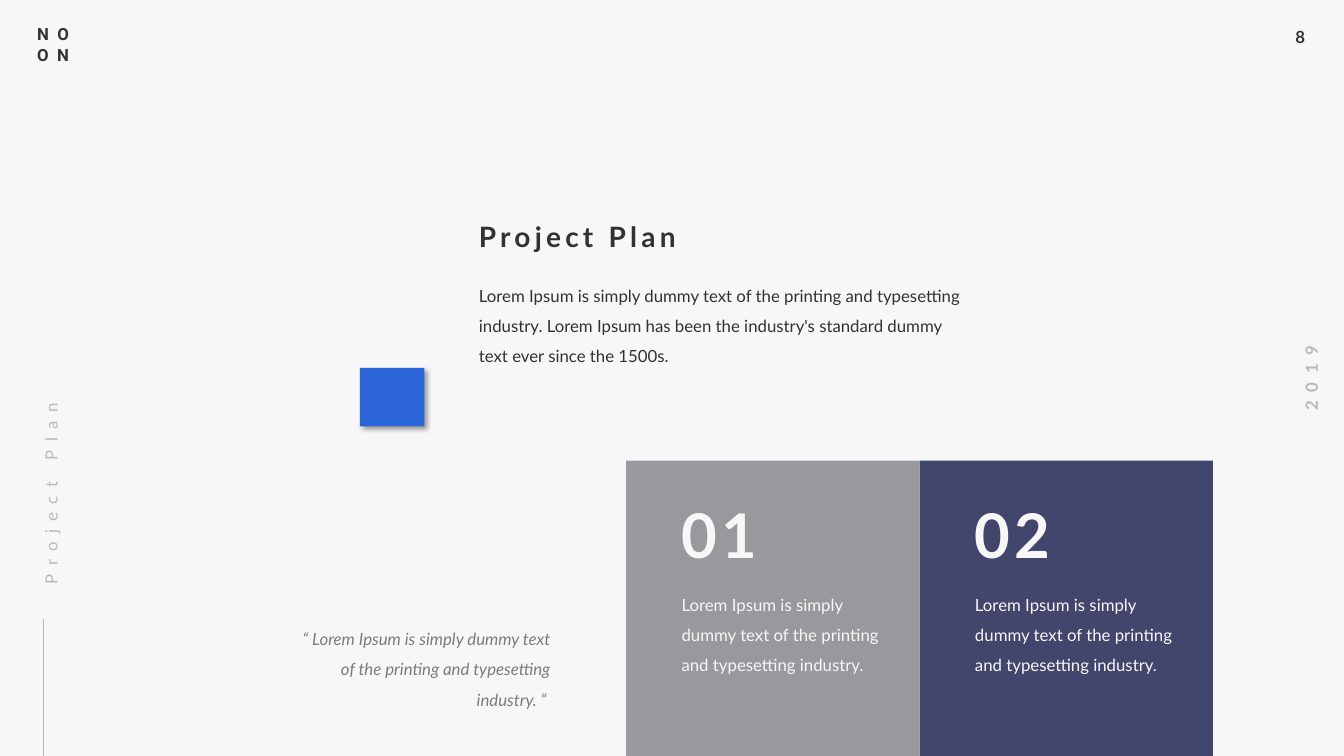
"""Build the Project Plan slide with two numbered cards."""
from lxml import etree
from pptx import Presentation
from pptx import util as u
from pptx.dml.color import RGBColor
from pptx.enum import shapes, text
from pptx.oxml import ns

COLORS = {
    "paper": "F7F7F7",
    "ink": "323232",
    "muted": "B9B9B9",
    "quote": "7C7C7C",
    "gray": "99999D",
    "navy": "42456C",
    "blue": "2C65D8",
    "shadow": "000000",
}
BODY = "Lorem Ipsum is simply dummy text of the printing and typesetting industry."
INTRO = BODY + " Lorem Ipsum has been the industry's standard dummy text ever since the 1500s."
FLUSH = (0, 0, 0.1, 0)
PADDED = (0.1, 0.05, 0.1, 0.05)
CARD_TOP, CARD_WIDTH, CARD_HEIGHT = 4.57, 2.91, 2.93


def rgb(name):
    """Return the named colour."""
    return RGBColor.from_string(COLORS[name])


def add_text(slide, box, content, color="ink", size=12, font="Lato", bold=False, italic=False,
             tracking=0, line_spacing=None, before=12, align=None, insets=FLUSH, wrap=True,
             rotation=0):
    """Add a text box whose paragraphs share one style."""
    shape = slide.shapes.add_textbox(*map(u.Inches, box))
    shape.rotation = rotation
    frame = shape.text_frame
    frame.text = content
    frame.word_wrap = wrap
    frame.auto_size = text.MSO_AUTO_SIZE.SHAPE_TO_FIT_TEXT
    frame.margin_left, frame.margin_top, frame.margin_right, frame.margin_bottom = map(
        u.Inches, insets)
    for paragraph in frame.paragraphs:
        paragraph.alignment = align
        paragraph.line_spacing = line_spacing
        paragraph.space_before = u.Pt(before)
        for run in paragraph.runs:
            run.font.name = font
            run.font.size = u.Pt(size)
            run.font.bold = bold
            run.font.italic = italic
            run.font.color.rgb = rgb(color)
            if tracking:
                run._r.get_or_add_rPr().set("spc", str(tracking * 100))


def add_block(slide, box, color):
    """Add a plain filled rectangle and return it."""
    shape = slide.shapes.add_shape(shapes.MSO_SHAPE.RECTANGLE, *map(u.Inches, box))
    shape.shadow.inherit = False
    shape.fill.solid()
    shape.fill.fore_color.rgb = rgb(color)
    shape.line.fill.background()
    return shape


def add_shadow(shape):
    """Give a shape a soft shadow to the lower right."""
    effects = shape._element.spPr.find(ns.qn("a:effectLst"))
    shadow = etree.SubElement(effects, ns.qn("a:outerShdw"), blurRad=str(u.Pt(4)),
                              dist=str(u.Pt(3)), dir=str(45 * 60000), algn="tl",
                              rotWithShape="0")
    color = etree.SubElement(shadow, ns.qn("a:srgbClr"), val=COLORS["shadow"])
    etree.SubElement(color, ns.qn("a:alpha"), val="40000")


def add_rule(slide, start, end):
    """Add a thin straight line."""
    rule = slide.shapes.add_connector(shapes.MSO_CONNECTOR.STRAIGHT,
                                      *map(u.Inches, start + end))
    rule.line.color.rgb = rgb("muted")
    rule.line.width = u.Pt(0.5)
    etree.SubElement(rule._element.spPr, ns.qn("a:effectLst"))


def add_card(slide, left, number, color):
    """Add a numbered card with its description."""
    add_block(slide, (left, CARD_TOP, CARD_WIDTH, CARD_HEIGHT), color)
    text_left = left + 0.55
    add_text(slide, (text_left, 5.8, 2.22, 0.87), BODY, "paper", line_spacing=1.5)
    add_text(slide, (text_left, 4.93, 1.05, 0.74), number, "paper", size=44, bold=True,
             tracking=3)


def add_margins(slide):
    """Add the page number, year, monogram and side label."""
    add_text(slide, (12.75, 0.22, 0.41, 0.3), "8", bold=True, before=0, insets=PADDED,
             wrap=False)
    add_text(slide, (12.54, 3.6, 0.93, 0.3), "2019", "muted", bold=True, tracking=6, before=0,
             align=text.PP_ALIGN.CENTER, insets=PADDED, wrap=False, rotation=270)
    add_text(slide, (0.27, 0.19, 0.59, 0.5), "NO\nON", font="Roboto", bold=True, tracking=6,
             before=0, insets=PADDED)
    add_rule(slide, (0.43, 7.5), (0.43, 6.14))
    add_text(slide, (-0.59, 4.64, 2.05, 0.26), "Project Plan", "muted", tracking=6,
             line_spacing=1.5, rotation=270)


def main():
    """Build and save the slide."""
    presentation = Presentation()
    presentation.slide_width = u.Inches(13.33)
    presentation.slide_height = u.Inches(7.5)
    slide = presentation.slides.add_slide(presentation.slide_layouts[6])
    slide.background.fill.solid()
    slide.background.fill.fore_color.rgb = rgb("paper")

    add_margins(slide)
    add_text(slide, (4.75, 2.73, 4.92, 0.87), INTRO, line_spacing=1.5)
    add_text(slide, (4.75, 2.18, 3.5, 0.34), "Project Plan", size=20, bold=True, tracking=3)
    add_text(slide, (3, 6.14, 2.56, 0.87), f"“ {BODY} “ ", "quote", italic=True,
             line_spacing=1.5, align=text.PP_ALIGN.RIGHT)
    for index, (number, color) in enumerate([("01", "gray"), ("02", "navy")]):
        add_card(slide, 6.21 + index * CARD_WIDTH, number, color)
    add_shadow(add_block(slide, (3.57, 3.65, 0.64, 0.58), "blue"))
    presentation.save("out.pptx")


if __name__ == "__main__":
    main()
